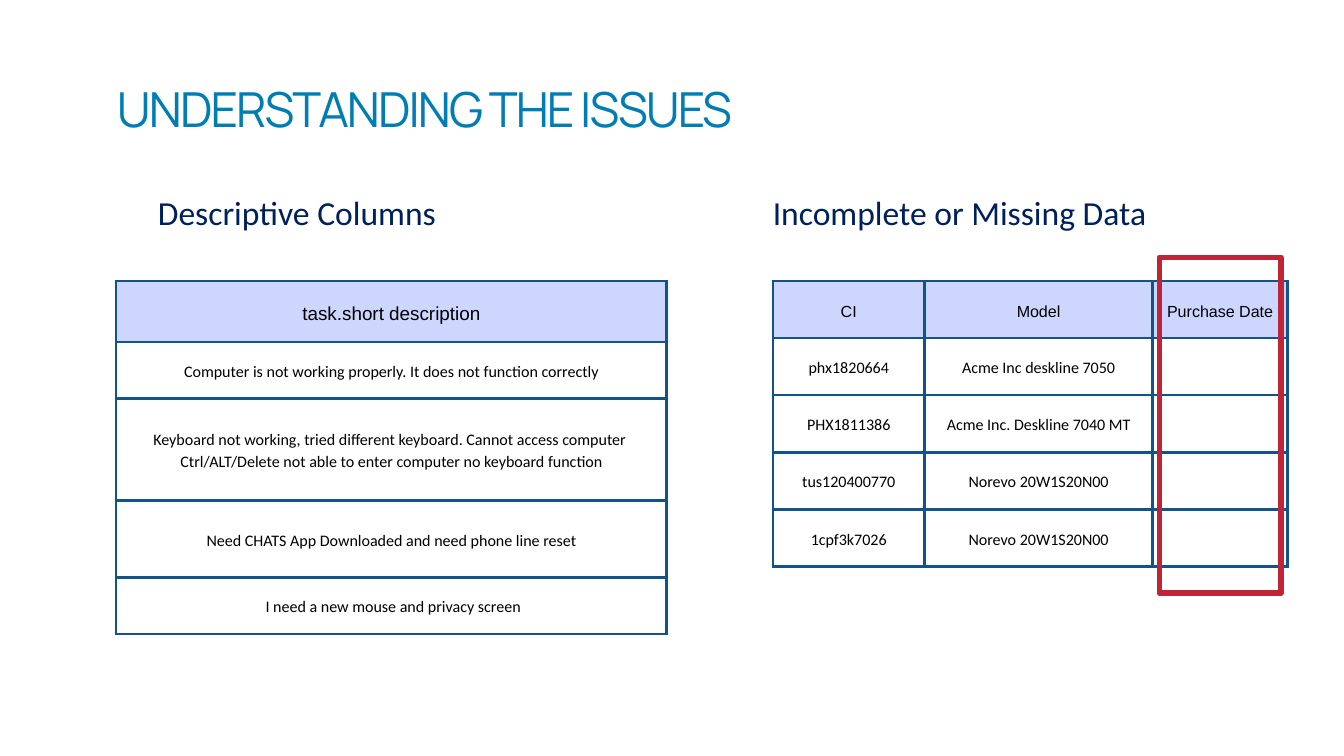
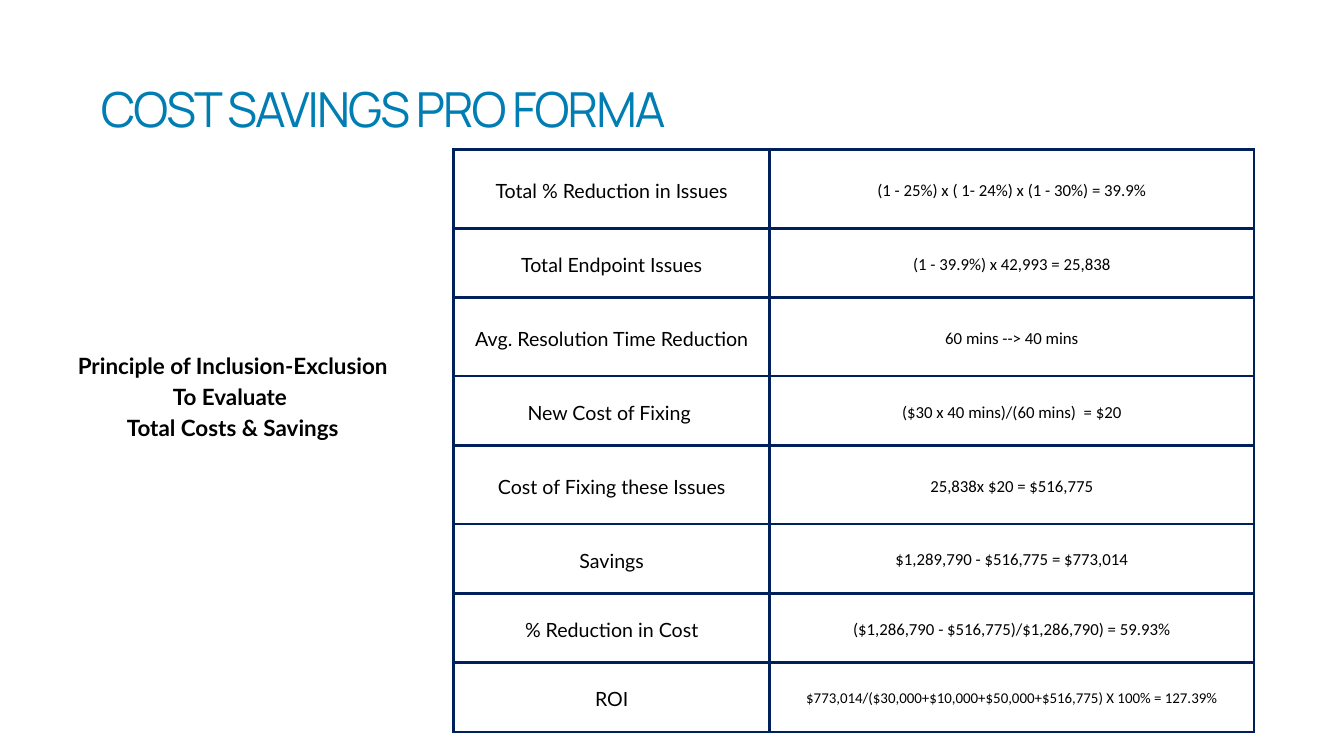
from lxml import etree
from pptx import Presentation
from pptx.dml.color import RGBColor
from pptx.enum.shapes import MSO_SHAPE
from pptx.enum.text import MSO_ANCHOR, MSO_AUTO_SIZE, PP_ALIGN
from pptx.oxml.ns import qn
from pptx.util import Cm, Pt

LEFT, CENTER = PP_ALIGN.LEFT, PP_ALIGN.CENTER
TOP, MIDDLE = MSO_ANCHOR.TOP, MSO_ANCHOR.MIDDLE
NONE = MSO_AUTO_SIZE.NONE
RECT = MSO_SHAPE.RECTANGLE

BLUE = RGBColor(0x00, 0x7E, 0xB4)
NAVY = RGBColor(0x00, 0x20, 0x5B)
STEEL = RGBColor(0x13, 0x53, 0x8A)
LILAC = RGBColor(0xCD, 0xD6, 0xFF)
RED = RGBColor(0xC0, 0x25, 0x37)
BLACK = RGBColor(0, 0, 0)

LEAD = 1.4  # line spacing as a multiple of the text size
PAD = Cm(0.53)

ISSUES = [
    ["task.short description"],
    ["Computer is not working properly. It does not function correctly"],
    ["Keyboard not working, tried different keyboard. Cannot access computer \n"
     "Ctrl/ALT/Delete not able to enter computer no keyboard function"],
    ["Need CHATS App Downloaded and need phone line reset"],
    [" I need a new mouse and privacy screen"],
]
ISSUE_ROWS = [2.31, 2.13, 3.86, 2.92, 2.13]

ASSETS = [
    ["CI", "Model", "Purchase Date"],
    ["phx1820664", "Acme Inc deskline 7050", ""],
    ["PHX1811386", "Acme Inc. Deskline 7040 MT", ""],
    ["tus120400770", "Norevo 20W1S20N00", ""],
    ["1cpf3k7026", "Norevo 20W1S20N00", ""],
]

COSTS = [
    ["Total % Reduction in Issues", "(1 - 25%) x ( 1- 24%) x (1 - 30%) = 39.9%"],
    ["Total Endpoint Issues", "(1 - 39.9%) x 42,993 = 25,838"],
    ["Avg. Resolution Time Reduction", "60 mins --> 40 mins"],
    ["New Cost of Fixing ", "($30 x 40 mins)/(60 mins)  = $20"],
    ["Cost of Fixing these Issues", "25,838x $20 = $516,775"],
    ["Savings", "$1,289,790 - $516,775 = $773,014"],
    ["% Reduction in Cost", "($1,286,790 - $516,775)/$1,286,790) = 59.93%"],
    ["ROI", "$773,014/($30,000+$10,000+$50,000+$516,775) X 100% = 127.39%"],
]
TALL, SHORT = 2.97, 2.62
COST_ROWS = [TALL, SHORT] * 2 + [TALL] + [SHORT] * 3

PROOF = "Principle of Inclusion-Exclusion\nTo Evaluate \nTotal Costs & Savings"


def write(frame, text, face, size, color, align=CENTER, bold=False, lead=None):
    frame.text = text
    frame.word_wrap = True
    for para in frame.paragraphs:
        para.alignment = align
        para.line_spacing = Pt(lead or round(size * LEAD, 1))
        font = para.font
        font.name, font.size, font.bold = face, Pt(size), bold
        font.color.rgb = color


def trim(frame):
    frame.auto_size = NONE
    frame.vertical_anchor = TOP
    frame.margin_left = frame.margin_right = 0
    frame.margin_top = frame.margin_bottom = 0


def add_page(deck, title, left, width):
    page = deck.slides.add_slide(deck.slide_layouts[5])
    head = page.shapes.title
    head.left, head.top = Cm(left), Cm(2.41)
    head.width, head.height = Cm(width), Cm(2.64)
    frame = head.text_frame
    trim(frame)
    write(frame, title, "Manrope", 51.7, BLUE, LEFT, lead=78.4)
    for run in frame.paragraphs[0].runs:
        run._r.get_or_add_rPr().set("spc", "-207")
    return page


def add_label(page, box, *style, **more):
    frame = page.shapes.add_textbox(*map(Cm, box)).text_frame
    trim(frame)
    write(frame, *style, **more)


def add_edges(cell, color):
    props = cell._tc.get_or_add_tcPr()
    for side in ("a:lnL", "a:lnR", "a:lnT", "a:lnB"):
        line = etree.SubElement(props, qn(side), w=str(Pt(3)))
        fill = etree.SubElement(line, qn("a:solidFill"))
        etree.SubElement(fill, qn("a:srgbClr"), val=str(color))


def add_grid(page, left, top, cols, rows, data, edge, style, head=False):
    """Add a table; style(row, col) gives the face and size of a cell."""
    table = page.shapes.add_table(
        len(rows), len(cols), Cm(left), Cm(top),
        Cm(sum(cols)), Cm(sum(rows))).table
    table.first_row = table.horz_banding = False
    for col, width in zip(table.columns, cols):
        col.width = Cm(width)
    for r, (row, height) in enumerate(zip(data, rows)):
        table.rows[r].height = Cm(height)
        for c, text in enumerate(row):
            cell = table.cell(r, c)
            cell.vertical_anchor = MIDDLE
            cell.margin_left = cell.margin_right = PAD
            cell.margin_top = cell.margin_bottom = PAD
            add_edges(cell, edge)
            if head and r == 0:
                cell.fill.solid()
                cell.fill.fore_color.rgb = LILAC
            else:
                cell.fill.background()
            write(cell.text_frame, text, *style(r, c), BLACK)


def issue_style(row, col):
    return ("Calibri", 17.2) if row else ("Arial", 20.2)


def asset_style(row, col):
    return "Calibri" if row else "Arial", 17.2


def cost_style(row, col):
    if col == 0:
        return "Lato", 21
    return "Calibri", 16 if row == len(COSTS) - 1 else 18


def add_issues(deck):
    page = add_page(deck, "UNDERSTANDING THE ISSUES", 4.42, 28.45)
    add_grid(page, 4.39, 10.62, [20.8], ISSUE_ROWS, ISSUES,
             STEEL, issue_style, head=True)
    add_grid(page, 29.21, 10.62, [5.74, 8.61, 5.11], [2.16] * len(ASSETS),
             ASSETS, STEEL, asset_style, head=True)
    add_label(page, (4.42, 6.99, 13.61, 1.63), "Descriptive Columns",
              "Calibri", 36, NAVY)
    add_label(page, (29.21, 6.99, 18.64, 1.63), "Incomplete or Missing Data",
              "Calibri", 36, NAVY, LEFT)
    frame = page.shapes.add_shape(
        RECT, Cm(43.82), Cm(9.73), Cm(4.6), Cm(12.69))
    frame.shadow.inherit = False
    frame.fill.background()
    frame.line.color.rgb = RED
    frame.line.width = Pt(6)


def add_costs(deck):
    page = add_page(deck, "COST SAVINGS PRO FORMA", 3.81, 26.67)
    add_grid(page, 17.15, 5.66, [11.94, 18.31], COST_ROWS, COSTS,
             NAVY, cost_style)
    add_label(page, (1.91, 13.13, 13.77, 3.53), PROOF,
              "Lato", 24, BLACK, bold=True)


def main():
    deck = Presentation()
    deck.slide_width, deck.slide_height = Cm(50.8), Cm(28.58)
    add_issues(deck)
    add_costs(deck)
    deck.save("out.pptx")


if __name__ == "__main__":
    main()
